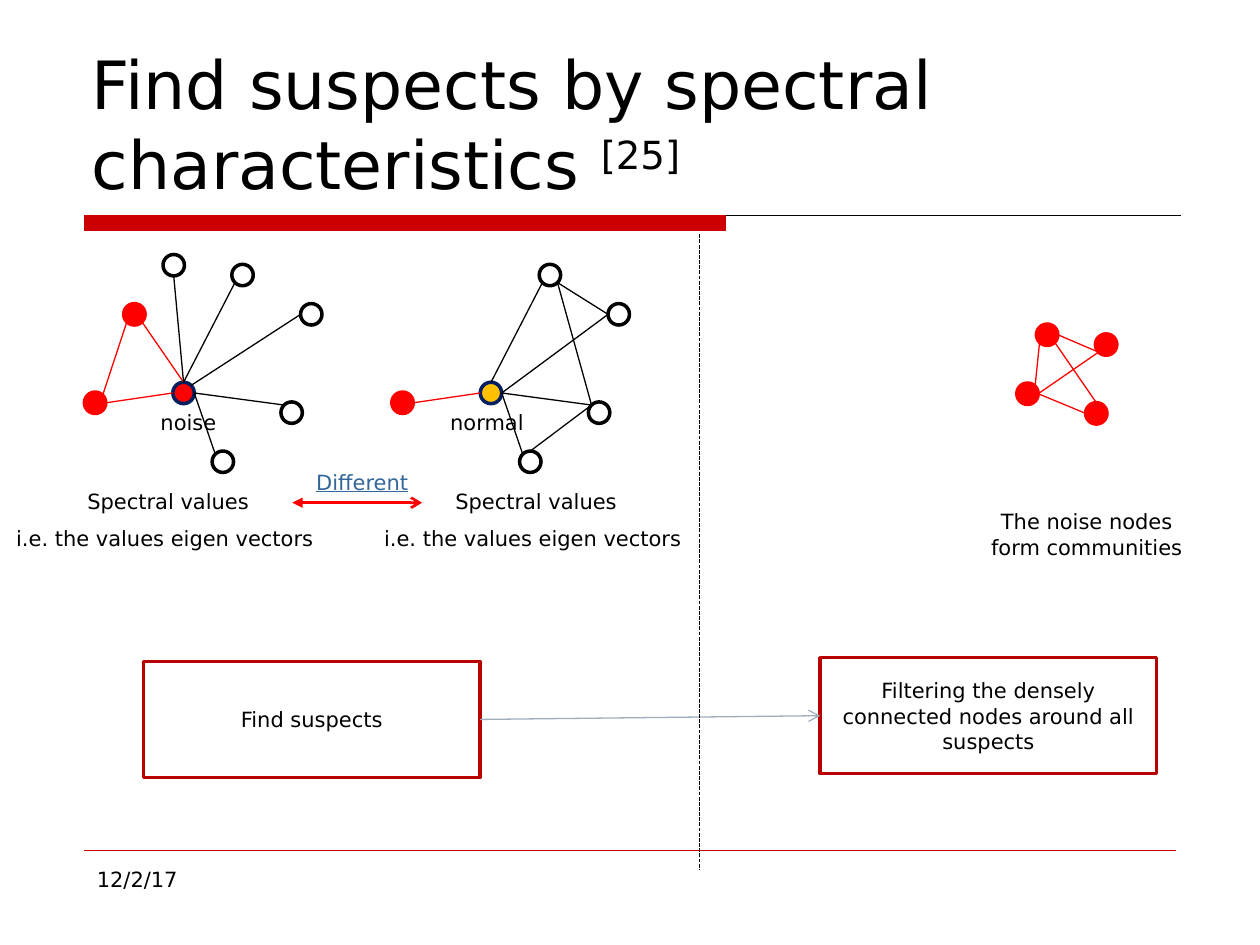
from dataclasses import dataclass
from math import cos, radians, sin
from typing import NamedTuple

from lxml import etree
from pptx import Presentation, util as u
from pptx.dml.color import RGBColor
from pptx.enum import dml, shapes, text
from pptx.oxml.ns import qn


@dataclass(frozen=True)
class Theme:
    font: str = "DejaVu Sans"
    title: float = 38
    body: float = 12
    black: str = "000000"
    white: str = "FFFFFF"
    red: str = "FF0000"
    bar: str = "CC0000"
    box: str = "B90000"
    navy: str = "002060"
    gold: str = "FFC000"
    arrow: str = "9FAEBD"
    link: str = "336699"
    thin: float = 0.75
    thick: float = 2


class Box(NamedTuple):
    """Left, top, width and height in cells of the slide grid."""
    x: float
    y: float
    w: float
    h: float


class Node(NamedTuple):
    """Place in graph steps, with fill and outline."""
    col: int
    row: int
    fill: str
    line: str


class Edge(NamedTuple):
    """Two nodes, each with the compass side where the edge meets it."""
    a: str
    a_side: str
    b: str
    b_side: str
    color: str


T = Theme()
COLS, ROWS = 100, 75
STEP, DIAMETER = 0.78, 1.7  # graph step and node size, in cells
ANGLES = {side: 45 * i for i, side in enumerate(["e", "se", "s", "sw", "w", "nw", "n", "ne"])}

prs = Presentation()
prs.slide_width, prs.slide_height = u.Inches(10), u.Inches(7.5)
s = prs.slides.add_slide(prs.slide_layouts[6])


def X(col: float) -> int:
    return round(prs.slide_width * col / COLS)


def Y(row: float) -> int:
    return round(prs.slide_height * row / ROWS)


def rgb(color: str) -> RGBColor:
    return RGBColor.from_string(color)


def add_line(x1: float, y1: float, x2: float, y2: float, color: str,
             width: float = T.thin, head: str = "", tail: str = ""):
    c = s.shapes.add_connector(shapes.MSO_CONNECTOR.STRAIGHT, X(x1), Y(y1), X(x2), Y(y2))
    c.line.color.rgb, c.line.width = rgb(color), u.Pt(width)
    ln = c.line._get_or_add_ln()
    for tag, kind in (("a:headEnd", head), ("a:tailEnd", tail)):
        if kind:
            etree.SubElement(ln, qn(tag), type=kind)
    etree.SubElement(c._element.spPr, qn("a:effectLst"))
    return c


def add_shape(kind: shapes.MSO_SHAPE, box: Box, fill: str, line: str, width: float = T.thick):
    sp = s.shapes.add_shape(kind, X(box.x), Y(box.y), X(box.w), Y(box.h))
    sp.shadow.inherit = False
    sp.fill.solid()
    sp.fill.fore_color.rgb = rgb(fill)
    sp.line.color.rgb, sp.line.width = rgb(line), u.Pt(width)
    return sp


def add_run(p, words: str, size: float = T.body, color: str = T.black):
    r = p.add_run()
    r.text = words
    r.font.name, r.font.size, r.font.color.rgb = T.font, u.Pt(size), rgb(color)
    return r


def add_text(box: Box, *lines: str, color: str = T.black, centred: bool = True):
    sp = s.shapes.add_textbox(X(box.x), Y(box.y), X(box.w), Y(box.h))
    tf = sp.text_frame
    tf.word_wrap = True
    for i, words in enumerate(lines):
        p = tf.add_paragraph() if i else tf.paragraphs[0]
        p.alignment = text.PP_ALIGN.CENTER if centred else text.PP_ALIGN.LEFT
        p.space_before = u.Pt(6.5 if i else 0)
        add_run(p, words, color=color)
    return tf


def add_step(box: Box, words: str):
    sp = add_shape(shapes.MSO_SHAPE.RECTANGLE, box, T.white, T.box)
    tf = sp.text_frame
    tf.word_wrap, tf.vertical_anchor = True, text.MSO_ANCHOR.MIDDLE
    p = tf.paragraphs[0]
    p.alignment = text.PP_ALIGN.CENTER
    add_run(p, words)
    return sp


def add_graph(x: float, y: float, nodes: dict[str, Node], edges: list[Edge]) -> None:
    def meet(name: str, side: str) -> tuple[float, float]:
        n, angle, radius = nodes[name], radians(ANGLES[side]), DIAMETER / 2
        return (x + n.col * STEP + radius * (1 + cos(angle)),
                y + n.row * STEP + radius * (1 + sin(angle)))

    for n in nodes.values():
        add_shape(shapes.MSO_SHAPE.OVAL,
                  Box(x + n.col * STEP, y + n.row * STEP, DIAMETER, DIAMETER), n.fill, n.line)
    for e in edges:
        add_line(*meet(e.a, e.a_side), *meet(e.b, e.b_side), e.color)


def red_node(col: int, row: int) -> Node:
    return Node(col, row, T.red, T.red)


def plain_node(col: int, row: int) -> Node:
    return Node(col, row, T.white, T.black)


# Header, title and footer
add_line(6.7, 17.1, 93.7, 17.1, T.black)
add_shape(shapes.MSO_SHAPE.RECTANGLE, Box(6.7, 17.1, 50.9, 1.2), T.bar, T.bar, T.thin)
add_line(6.7, 67.5, 93.3, 67.5, T.bar, 0.25)
tf = s.shapes.add_textbox(X(6.3), Y(3.3), X(87.5), Y(13.3)).text_frame
tf.word_wrap, tf.vertical_anchor = True, text.MSO_ANCHOR.BOTTOM
add_run(tf.paragraphs[0], "Find suspects by spectral characteristics ", T.title)
r = add_run(tf.paragraphs[0], "[25]", T.title)
r.font._element.set("baseline", "30000")
add_text(Box(6.7, 68.3, 21.7, 5.2), "12/2/17", centred=False)

# Noise and normal neighbourhoods share most nodes and edges
shared_nodes = {"suspect": red_node(0, 14), "top": plain_node(15, 1), "right": plain_node(22, 5),
                "low": plain_node(20, 15), "bottom": plain_node(13, 20)}
shared_edges = [Edge("suspect", "e", "hub", "w", T.red), Edge("hub", "n", "top", "sw", T.black),
                Edge("hub", "e", "low", "nw", T.black), Edge("hub", "e", "bottom", "nw", T.black)]
add_graph(6.7, 20.2,
          shared_nodes | {"hub": Node(9, 13, T.red, T.navy), "friend": red_node(4, 5),
                          "far": plain_node(8, 0)},
          shared_edges + [Edge("hub", "n", "friend", "se", T.red),
                          Edge("friend", "sw", "suspect", "ne", T.red),
                          Edge("hub", "ne", "right", "w", T.black),
                          Edge("hub", "n", "far", "s", T.black)])
add_graph(31.1, 20.2,
          shared_nodes | {"hub": Node(9, 13, T.gold, T.navy)},
          shared_edges + [Edge("hub", "e", "right", "w", T.black),
                          Edge("right", "w", "top", "se", T.black),
                          Edge("bottom", "n", "low", "nw", T.black),
                          Edge("low", "nw", "top", "se", T.black)])
add_text(Box(11.4, 32, 7.1, 3), "noise")
add_text(Box(34.3, 32, 8.7, 3), "normal")

# Noise community
add_graph(80.7, 30.4,
          {"a": red_node(0, 0), "b": red_node(7, 2), "c": red_node(2, -6), "d": red_node(8, -5)},
          [Edge(*ends, T.red) for ends in (("b", "n", "c", "se"), ("c", "sw", "a", "ne"),
                                           ("a", "e", "b", "w"), ("d", "sw", "c", "e"),
                                           ("d", "sw", "a", "e"))])
add_text(Box(76.8, 39.9, 18.9, 5), "The noise nodes form communities")

# Process steps and divider
find = add_step(Box(11.4, 52.5, 26.7, 9.2), "Find suspects")
filtering = add_step(Box(65.1, 52.2, 26.7, 9.2),
                     "Filtering the densely connected nodes around all suspects")
flow = add_line(38.1, 57, 65.1, 56.8, T.arrow, tail="arrow")
flow.begin_connect(find, 3)
flow.end_connect(filtering, 1)
divider = add_line(55.5, 18.6, 55.5, 69, T.black)
divider.line.dash_style = dml.MSO_LINE.SQUARE_DOT

# Comparison of spectral values
for left in (-1.2, 28):
    add_text(Box(left, 38.3, 29.1, 6.1), "Spectral values", "i.e. the values eigen vectors ")
add_line(23.2, 39.9, 33.5, 39.9, T.red, 1.5, head="triangle", tail="arrow")
tf = add_text(Box(20.9, 36.8, 15.7, 3), "Different", color=T.link)
tf.paragraphs[0].runs[0].font.underline = True

prs.save("out.pptx")
